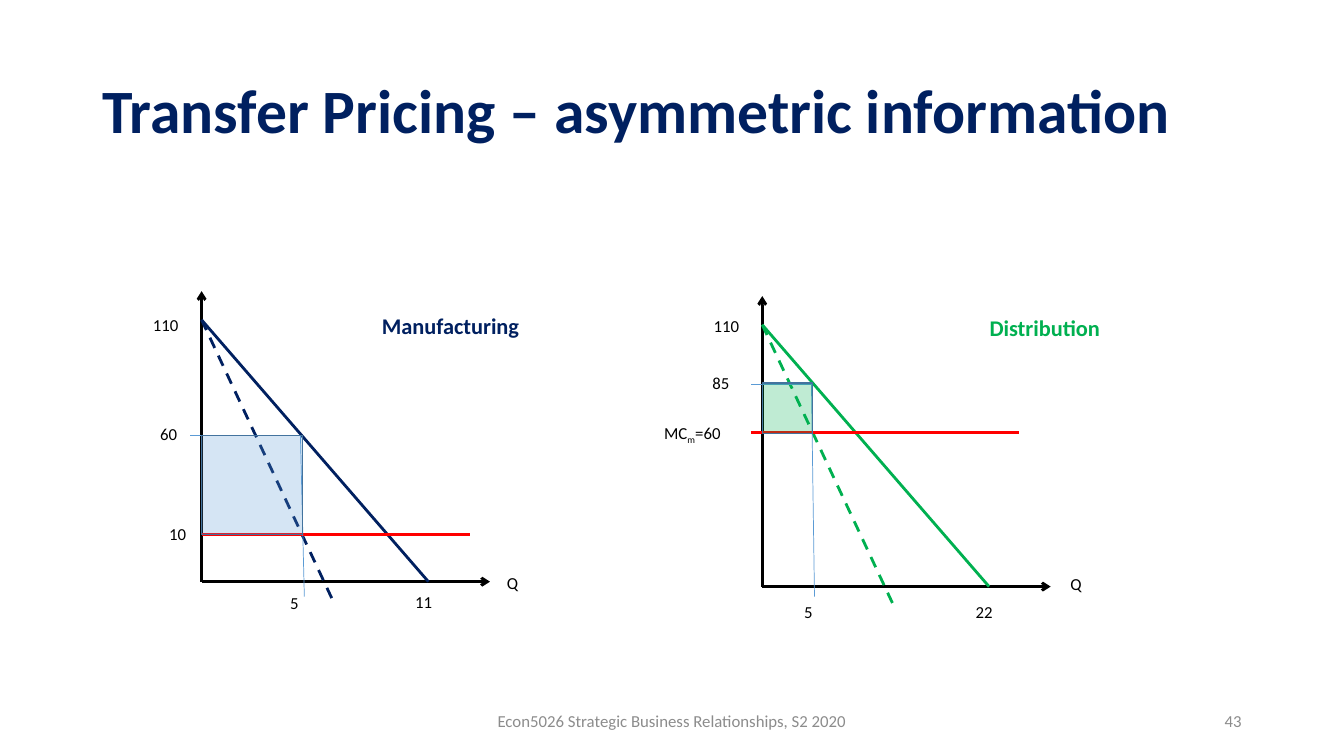
import pptx
import pptx.dml.color
import pptx.enum.dml
import pptx.enum.shapes
import pptx.enum.text
import pptx.oxml.ns
import pptx.oxml.xmlchemy
import pptx.util

Pt = pptx.util.Pt
RGBColor = pptx.dml.color.RGBColor
ALIGN = pptx.enum.text.PP_ALIGN
ANCHOR = pptx.enum.text.MSO_ANCHOR

FONT = "Calibri"
BLACK = RGBColor(0x00, 0x00, 0x00)
GREY = RGBColor(0x8C, 0x8C, 0x8C)
NAVY = RGBColor(0x00, 0x20, 0x60)
GREEN = RGBColor(0x00, 0xB0, 0x50)
RED = RGBColor(0xFF, 0x00, 0x00)
BLUE = RGBColor(0x5B, 0x9B, 0xD5)
DARK_BLUE = RGBColor(0x43, 0x73, 0x9E)


def add_element(parent, tag, **attributes):
    element = pptx.oxml.xmlchemy.OxmlElement(tag)
    for name, value in attributes.items():
        element.set(name, value)
    parent.append(element)


def add_text(slide, runs, left, top, width, height=21.6, size=12, color=BLACK,
             bold=False, align=ALIGN.LEFT, anchor=ANCHOR.TOP):
    """Add one line of text; runs are (text, baseline in percent) pairs."""
    box = slide.shapes.add_textbox(Pt(left), Pt(top), Pt(width), Pt(height))
    frame = box.text_frame
    frame.word_wrap = True
    frame.vertical_anchor = anchor
    paragraph = frame.paragraphs[0]
    paragraph.alignment = align
    for text, baseline in runs:
        run = paragraph.add_run()
        run.text = text
        run.font.name = FONT
        run.font.size = Pt(size)
        run.font.bold = bold
        run.font.color.rgb = color
        if baseline:
            run.font._element.set("baseline", str(baseline * 1000))
    return paragraph


def add_line(slide, start, end, color, width=2, dashed=False, arrow=False):
    connector = slide.shapes.add_connector(
        pptx.enum.shapes.MSO_CONNECTOR.STRAIGHT,
        Pt(start[0]), Pt(start[1]), Pt(end[0]), Pt(end[1]))
    connector.line.color.rgb = color
    connector.line.width = Pt(width)
    if dashed:
        connector.line.dash_style = pptx.enum.dml.MSO_LINE.DASH
    if arrow:
        add_element(connector.line._get_or_add_ln(), "a:tailEnd", type="arrow")
    add_element(connector._element.spPr, "a:effectLst")


def add_profit_area(slide, left, top, width, height, color):
    area = slide.shapes.add_shape(pptx.enum.shapes.MSO_SHAPE.RECTANGLE,
                                  Pt(left), Pt(top), Pt(width), Pt(height))
    area.shadow.inherit = False
    area.fill.solid()
    area.fill.fore_color.rgb = color
    fill_color = area._element.spPr.find(".//" + pptx.oxml.ns.qn("a:srgbClr"))
    add_element(fill_color, "a:alpha", val="25000")
    area.line.color.rgb = DARK_BLUE
    area.line.width = Pt(1)


def add_market(slide, origin, color, area_color, cost, guide, area, labels):
    """Draw one division: axes, demand, marginal revenue, cost and profit."""
    x, y = origin
    intercept = (x, y - 187)
    # Axes
    add_line(slide, origin, (x, y - 207.5), BLACK, arrow=True)
    add_line(slide, origin, (x + 206, y), BLACK, arrow=True)
    # Demand and marginal revenue
    add_line(slide, intercept, (x + 162, y), color)
    add_line(slide, intercept, (x + 93, y + 11.8), color, dashed=True)
    # Marginal cost
    cost_left, cost_top = cost
    add_line(slide, cost, (cost_left + 191.5, cost_top), RED)
    # Guides from quantity up to price
    for start, end in zip(guide, guide[1:]):
        add_line(slide, start, end, BLUE, width=0.5)
    # Labels
    for runs, left, top, width in labels:
        add_text(slide, runs, left, top, width)
    add_profit_area(slide, *area, area_color)


def main():
    presentation = pptx.Presentation()
    presentation.slide_width = Pt(960)
    presentation.slide_height = Pt(540)
    slide = presentation.slides.add_slide(presentation.slide_layouts[6])

    # Title and footer
    title = add_text(slide, [("Transfer Pricing – asymmetric information", 0)],
                     66, 28.8, 828, 104.4, 44, NAVY, True, anchor=ANCHOR.MIDDLE)
    title.line_spacing = 0.9
    add_text(slide, [("Econ5026 Strategic Business Relationships, S2 2020", 0)],
             318, 500.4, 324, 28.8, color=GREY, align=ALIGN.CENTER,
             anchor=ANCHOR.MIDDLE)
    add_text(slide, [("43", 0)], 678, 500.4, 216, 28.8, color=GREY,
             align=ALIGN.RIGHT, anchor=ANCHOR.MIDDLE)

    # Manufacturing division
    add_text(slide, [("Manufacturing", 0)], 265.7, 219.6, 139, 26.6, 16, NAVY, True)
    add_market(
        slide, (144, 415.5), NAVY, BLUE, cost=(144, 381.6),
        guide=[(217.4, 426.2), (214.6, 311), (136, 311)],
        area=(144, 311, 72, 70.6),
        labels=[([("110", 0)], 102.2, 221, 34),
                ([("60", 0)], 107.3, 298.8, 30),
                ([("10", 0)], 113.8, 370.8, 30),
                ([("5", 0)], 200.2, 419.8, 30),
                ([("11", 0)], 289.4, 419, 34),
                ([("Q", 0)], 355, 405.4, 34)])

    # Distribution division
    add_text(slide, [("Distribution", 0)], 699.8, 221, 139, 26.6, 16, GREEN, True)
    add_market(
        slide, (544.5, 419), GREEN, GREEN, cost=(536.4, 308.9),
        guide=[(581.8, 426.2), (579.6, 274.3), (536.4, 274.3)],
        area=(544.5, 273.6, 36, 36),
        labels=[([("110", 0)], 502.6, 221.8, 34),
                ([("85", 0)], 501.8, 262.8, 34.6),
                ([("MC", 0), ("m", -25), ("=60", 0)], 467.3, 298.1, 69),
                ([("5", 0)], 567.4, 426.2, 30),
                ([("22", 0)], 689.8, 426.2, 34),
                ([("Q", 0)], 757.4, 406.1, 34)])

    presentation.save("out.pptx")


if __name__ == "__main__":
    main()
